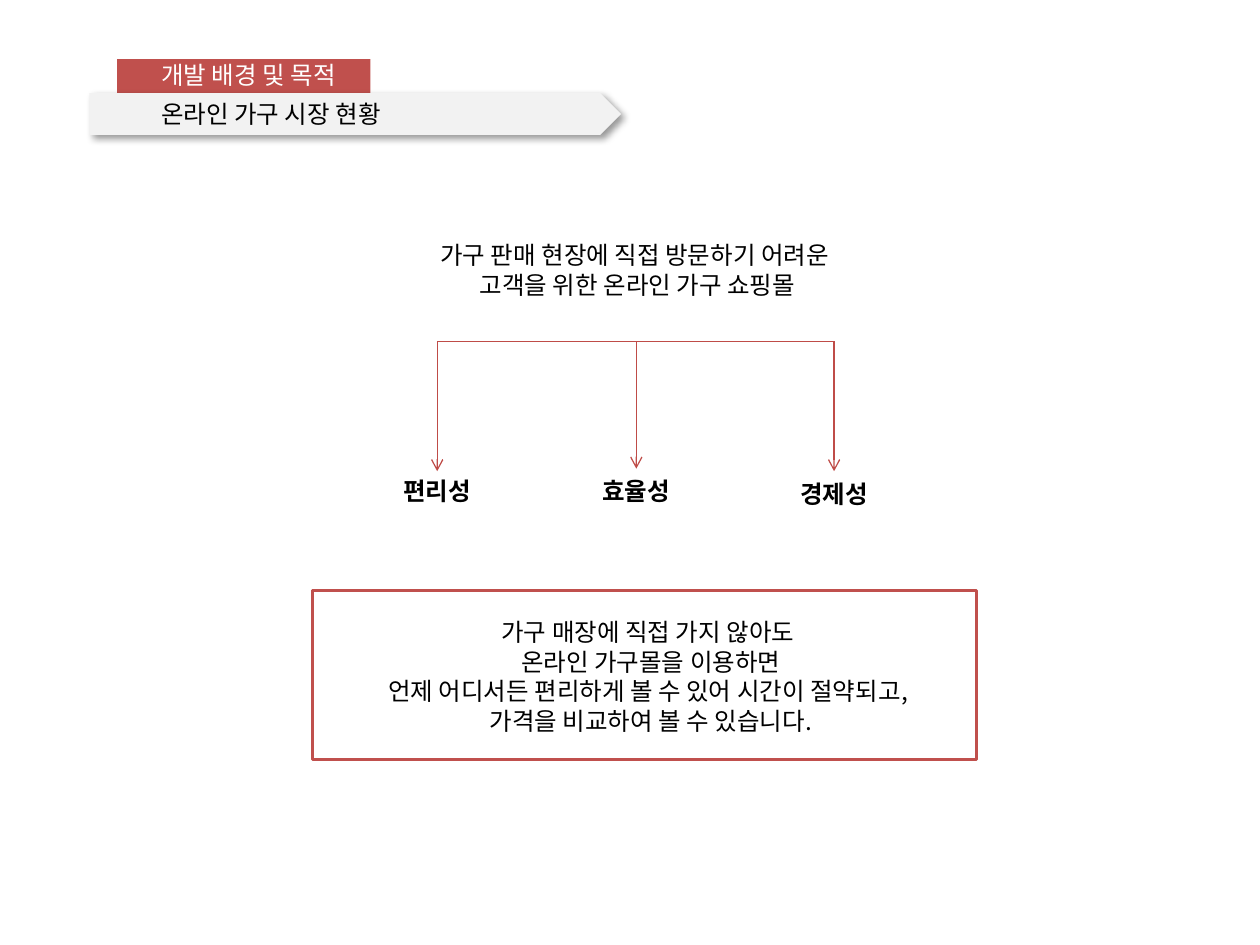
from lxml import etree
from pptx import Presentation
from pptx.dml.color import RGBColor
from pptx.enum.shapes import MSO_CONNECTOR, MSO_SHAPE
from pptx.enum.text import MSO_ANCHOR, MSO_AUTO_SIZE, PP_ALIGN
from pptx.oxml import parse_xml
from pptx.oxml.ns import nsdecls, qn
from pptx.util import Inches, Pt

LEFT, CENTER = PP_ALIGN.LEFT, PP_ALIGN.CENTER
TOP, GROW = MSO_ANCHOR.TOP, MSO_AUTO_SIZE.SHAPE_TO_FIT_TEXT
RECT, ARROW = MSO_SHAPE.RECTANGLE, MSO_SHAPE.PENTAGON
STRAIGHT = MSO_CONNECTOR.STRAIGHT
FONT = "Noto Sans CJK KR"
COLORS = {"white": "FFFFFF", "black": "000000", "red": "C0504D",
          "line": "BF4C48", "gray": "F2F2F2"}

deck = Presentation()
deck.slide_width, deck.slide_height = Inches(10), Inches(7.5)
slide = deck.slides.add_slide(deck.slide_layouts[5])
shapes = slide.shapes


def rgb(name):
    return RGBColor.from_string(COLORS[name])


def write(text, x, y, w, h, box=None, align=CENTER, color="black", bold=False, wrap=True):
    """Put text, one paragraph per line, in the given box or a new one."""
    box = box or shapes.add_textbox(0, 0, 0, 0)
    box.left, box.top, box.width, box.height = map(Inches, (x, y, w, h))
    frame = box.text_frame
    frame.text = text
    frame.word_wrap, frame.auto_size = wrap, GROW
    frame.vertical_anchor = TOP
    for para in frame.paragraphs:
        para.alignment = align
        for run in para.runs:
            font = run.font
            font.name, font.size, font.bold = FONT, Pt(14), bold
            font.color.rgb = rgb(color)
            etree.SubElement(font._element, qn("a:ea"), typeface=FONT)


# Panels: summary frame, title tab, subtitle ribbon
for kind, x, y, w, h, fill in (
    (RECT, 2.48, 4.69, 5.27, 1.34, "white"),
    (RECT, 0.93, 0.47, 2.01, 0.27, "red"),
    (ARROW, 0.71, 0.74, 4.22, 0.33, "gray"),
):
    panel = shapes.add_shape(kind, Inches(x), Inches(y), Inches(w), Inches(h))
    panel.shadow.inherit = False
    panel.fill.solid()
    panel.fill.fore_color.rgb = rgb(fill)
    if fill == "white":
        panel.line.color.rgb = rgb("red")
        panel.line.width = Pt(1.75)
    else:
        panel.line.fill.background()

# The ribbon, added last, casts a soft shadow
glow = panel.element.spPr.find(qn("a:effectLst"))
glow.append(parse_xml(
    f'<a:outerShdw {nsdecls("a")} blurRad="{Pt(4)}" dist="{Pt(3)}" dir="2700000" '
    'algn="tl" rotWithShape="0"><a:srgbClr val="000000"><a:alpha val="40000"/>'
    '</a:srgbClr></a:outerShdw>'))

# Headings, with the title brought in front of its tab
title = shapes.title
title.element.getparent().append(title.element)
write("개발 배경 및 목적", 1.18, 0.43, 1.65, 0.34, box=title,
      align=LEFT, color="white", wrap=False)
write("온라인 가구 시장 현황", 1.18, 0.74, 2.02, 0.34, align=LEFT, wrap=False)

# Goal and its three branches
write("가구 판매 현장에 직접 방문하기 어려운 \n고객을 위한 온라인 가구 쇼핑몰",
      3.12, 1.86, 3.88, 0.57)
bar = 2.71
lines = [(3.47, bar, 6.62, bar)]
for label, mid, y, tip in (
    ("편리성", 3.47, 3.73, 3.74),
    ("효율성", 5.05, 3.73, 3.72),
    ("경제성", 6.62, 3.75, 3.74),
):
    write(label, mid - 0.99, y, 1.98, 0.34, bold=True)
    lines.append((mid, bar, mid, tip))

for ends in lines:
    link = shapes.add_connector(STRAIGHT, *map(Inches, ends))
    link.line.color.rgb = rgb("line")
    link.line.width = Pt(0.75)
    if ends[0] == ends[2]:
        etree.SubElement(link.line._get_or_add_ln(), qn("a:tailEnd"), type="arrow")
    etree.SubElement(link.element.spPr, qn("a:effectLst"))

# Summary
write("가구 매장에 직접 가지 않아도 \n온라인 가구몰을 이용하면\n"
      "언제 어디서든 편리하게 볼 수 있어 시간이 절약되고, \n"
      "가격을 비교하여 볼 수 있습니다.", 2.72, 4.85, 4.89, 1.04)

deck.save("out.pptx")
